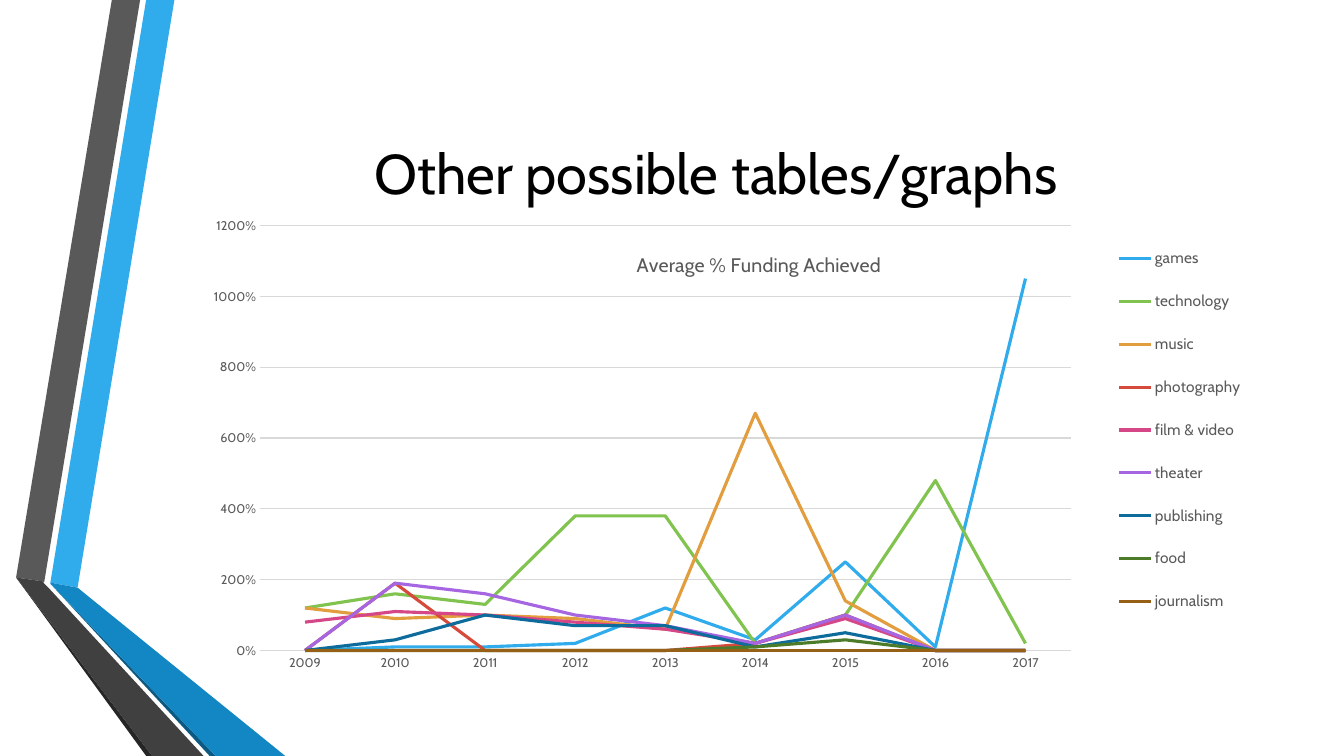
from dataclasses import dataclass

from lxml import etree
from pptx import Presentation
from pptx import util as u
from pptx.chart.data import CategoryChartData
from pptx.dml.color import RGBColor
from pptx.enum import chart as ch, text
from pptx.oxml.ns import qn

PX = 9144  # EMU per px, 100 px to the inch
FONT = "Cabin"
COLORS = {
    "title": "000000", "label": "595959", "grid": "D9D9D9",
    "sky": "30ACEC", "gray": "595959", "black": "262626",
    "navy": "0C5A82", "blue": "1287C3", "charcoal": "404040",
    "green": "80C34F", "orange": "E29D3E", "red": "D64A3B", "pink": "D64787",
    "purple": "A666E1", "teal": "0E6C9C", "forest": "4C7B2A", "brown": "966117",
}


@dataclass
class Ribbon:
    color: str
    points: list[tuple[int, int]]


@dataclass
class Category:
    name: str
    color: str
    values: list[float]


RIBBONS = [
    Ribbon("sky", [(50, 578), (77, 583), (173, 0), (145, 0)]),
    Ribbon("gray", [(139, 0), (111, 0), (16, 573), (44, 577)]),
    Ribbon("black", [(16, 573), (145, 750), (151, 750)]),
    Ribbon("navy", [(50, 579), (208, 750), (214, 750)]),
    Ribbon("blue", [(50, 579), (214, 750), (283, 750), (77, 583), (50, 578)]),
    Ribbon("charcoal", [(202, 750), (48, 583), (43, 578), (44, 577),
                        (16, 573), (151, 750)]),
]
YEARS = [str(year) for year in range(2009, 2018)]
CATEGORIES = [
    Category("games", "sky", [0, 0.1, 0.1, 0.2, 1.2, 0.3, 2.5, 0.1, 10.5]),
    Category("technology", "green", [1.2, 1.6, 1.3, 3.8, 3.8, 0.2, 1, 4.8, 0.2]),
    Category("music", "orange", [1.2, 0.9, 1, 0.9, 0.6, 6.7, 1.4, 0, 0]),
    Category("photography", "red", [0, 1.9, 0, 0, 0, 0.2, 1, 0, 0]),
    Category("film & video", "pink", [0.8, 1.1, 1, 0.8, 0.6, 0.2, 0.9, 0, 0]),
    Category("theater", "purple", [0, 1.9, 1.6, 1, 0.7, 0.2, 1, 0, 0]),
    Category("publishing", "teal", [0, 0.3, 1, 0.7, 0.7, 0.1, 0.5, 0, 0]),
    Category("food", "forest", [0, 0, 0, 0, 0, 0.1, 0.3, 0, 0]),
    Category("journalism", "brown", [0] * 9),
]


def rgb(name: str) -> RGBColor:
    return RGBColor.from_string(COLORS[name])


def box(*lengths: int) -> list[int]:
    return [n * PX for n in lengths]


def set_font(font, size: int, color: str) -> None:
    for key, value in {"name": FONT, "size": u.Pt(size), "bold": False}.items():
        setattr(font, key, value)
    font.color.rgb = rgb(color)


def set_line(line, color: str, width: float) -> None:
    line.color.rgb = rgb(color)
    line.width = u.Pt(width)


def place(element, index: int, **settings) -> None:
    """Give a chart part a manual layout, as fractions of the chart."""
    for old in element.findall(qn("c:layout")):
        element.remove(old)
    layout = etree.Element(qn("c:layout"))
    manual = etree.SubElement(layout, qn("c:manualLayout"))
    for tag, value in settings.items():
        etree.SubElement(manual, qn(f"c:{tag}")).set("val", str(value))
    element.insert(index, layout)


def add_ribbon(slide, ribbon: Ribbon) -> None:
    builder = slide.shapes.build_freeform(*ribbon.points[0], scale=PX)
    builder.add_line_segments(ribbon.points[1:], close=True)
    sp = builder.convert_to_shape()
    sp.shadow.inherit = False
    sp.fill.solid()
    sp.fill.fore_color.rgb = rgb(ribbon.color)
    sp.line.fill.background()


def add_title(slide, title: str) -> None:
    tf = slide.shapes.add_textbox(*box(162, 75, 1096, 192)).text_frame
    tf.word_wrap = True
    tf.vertical_anchor = text.MSO_ANCHOR.MIDDLE
    p = tf.paragraphs[0]
    p.alignment = text.PP_ALIGN.CENTER
    r = p.add_run()
    r.text = title
    set_font(r.font, 40, "title")


def style_axes(chart) -> None:
    for axis in (chart.category_axis, chart.value_axis):
        axis.major_tick_mark = axis.minor_tick_mark = ch.XL_TICK_MARK.NONE
        set_font(axis.tick_labels.font, 9, "label")
    set_line(chart.category_axis.format.line, "grid", 0.75)
    values = chart.value_axis
    values.format.line.fill.background()
    values.has_major_gridlines = True
    set_line(values.major_gridlines.format.line, "grid", 0.75)
    scale = {"minimum_scale": 0, "maximum_scale": 12, "major_unit": 2}
    for key, value in scale.items():
        setattr(values, key, value)
    values.tick_labels.number_format = "0%"
    values.tick_labels.number_format_is_linked = False


def add_funding_chart(slide) -> None:
    data = CategoryChartData(number_format="0%")
    data.categories = YEARS
    for category in CATEGORIES:
        data.add_series(category.name, category.values)
    chart = slide.shapes.add_chart(
        ch.XL_CHART_TYPE.LINE, *box(183, 198, 1085, 477), data).chart
    set_font(chart.font, 10, "title")
    style_axes(chart)

    plot = chart.plots[0]
    plot.vary_by_categories = False
    for series, category in zip(plot.series, CATEGORIES):
        series.smooth = False
        series.marker.style = ch.XL_MARKER_STYLE.NONE
        set_line(series.format.line, category.color, 2.25)

    chart.has_title = True
    title = chart.chart_title
    title.include_in_layout = False
    p = title.text_frame.paragraphs[0]
    r = p.add_run()
    r.text = "Average % Funding Achieved"
    set_font(r.font, 14, "label")

    chart.has_legend = True
    legend = chart.legend
    legend.position = ch.XL_LEGEND_POSITION.RIGHT
    legend.include_in_layout = False
    set_font(legend.font, 11, "label")

    root = chart.element
    edge = {"xMode": "edge", "yMode": "edge"}
    place(root.find(".//" + qn("c:plotArea")), 0, layoutTarget="inner", **edge,
          x=0.069, y=0.054, w=0.741, h=0.884)
    place(root.find(".//" + qn("c:title")), 1, **edge, x=0.41, y=0.1)
    place(root.find(".//" + qn("c:legend")), 1, **edge,
          x=0.835, y=0.053, w=0.15, h=0.853)


def main() -> None:
    prs = Presentation()
    prs.slide_width, prs.slide_height = box(1333, 750)
    s = prs.slides.add_slide(prs.slide_layouts[6])
    for ribbon in RIBBONS:
        add_ribbon(s, ribbon)
    add_title(s, "Other possible tables/graphs")
    add_funding_chart(s)
    prs.save("out.pptx")


if __name__ == "__main__":
    main()
